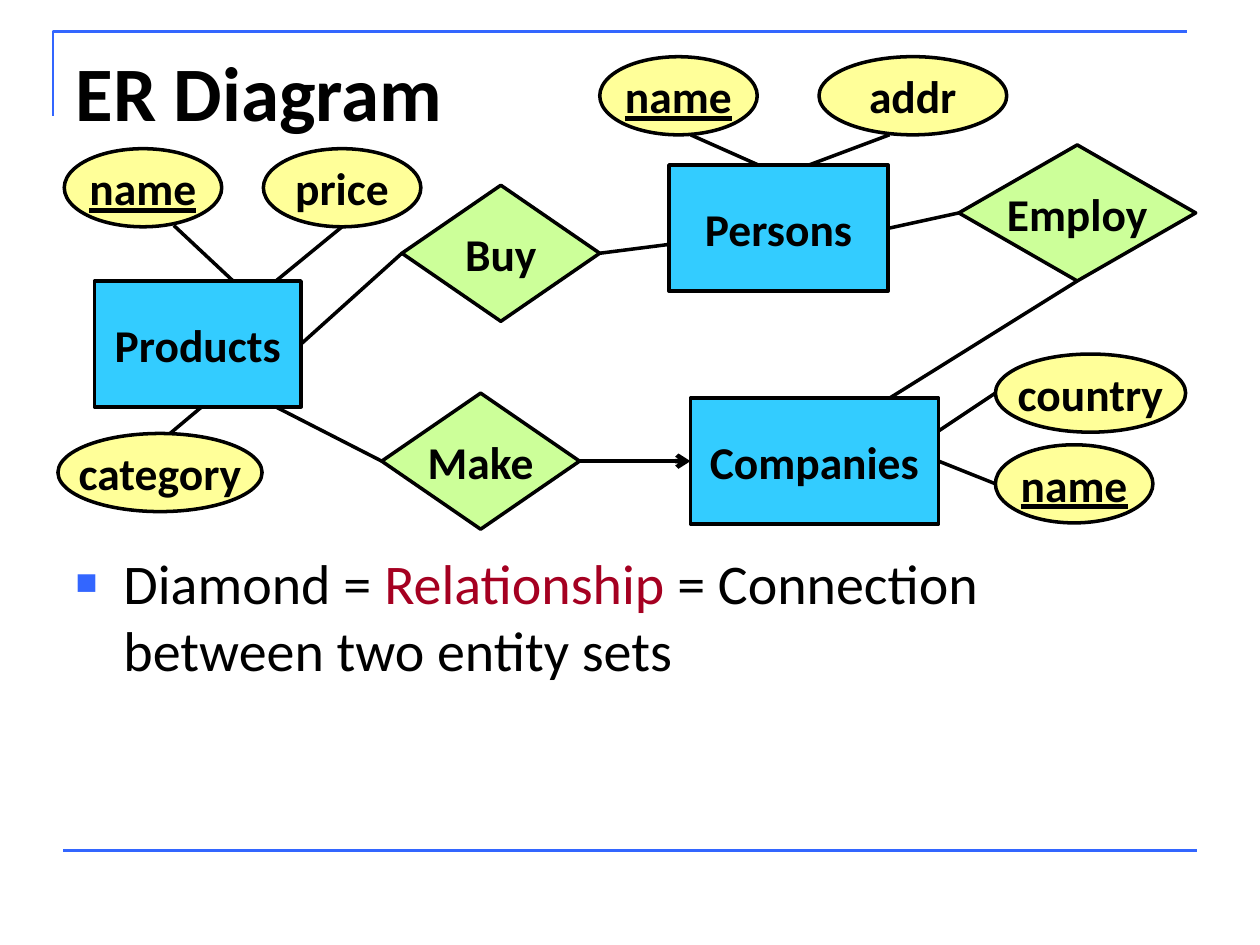
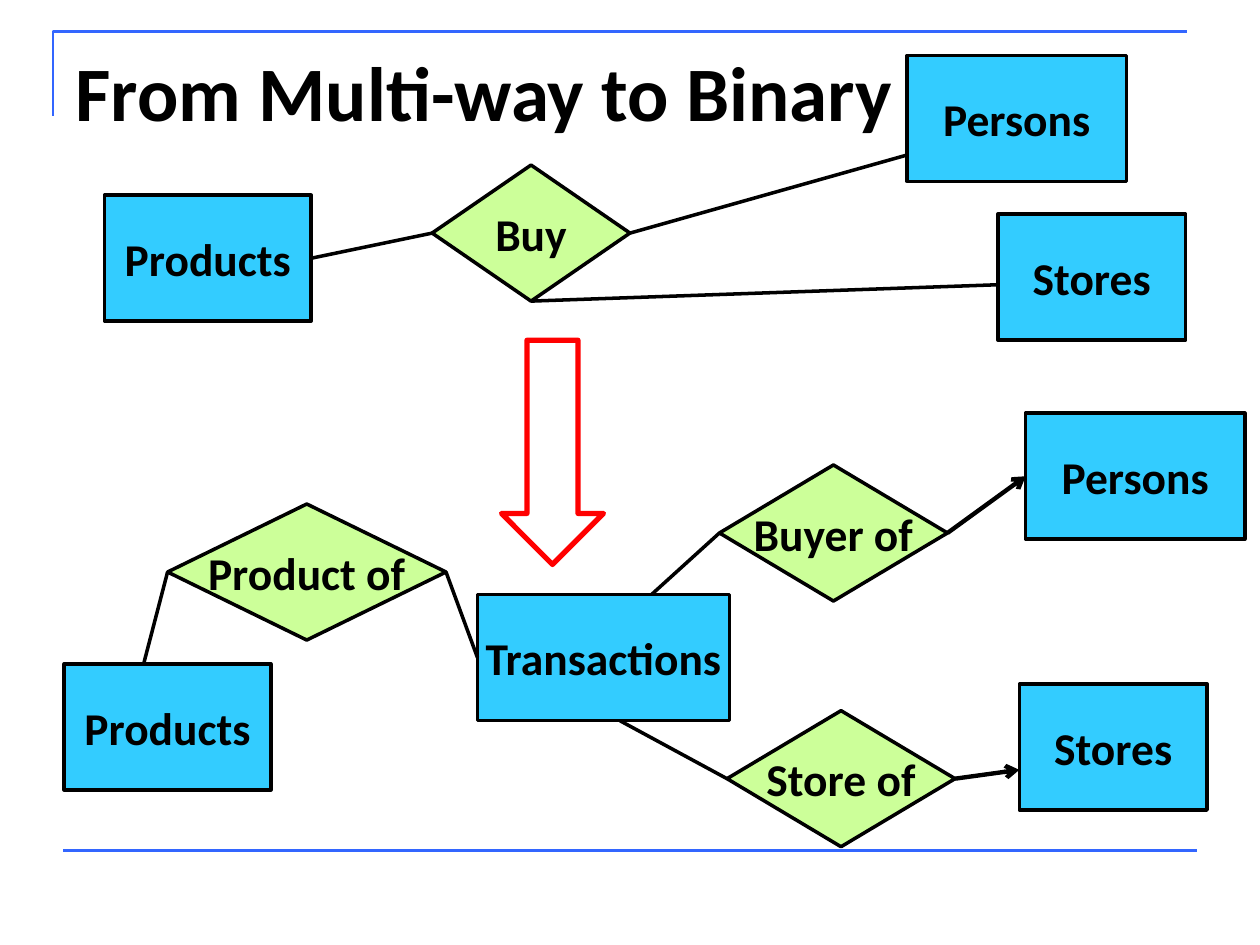
from lxml.etree import SubElement
from pptx import Presentation
from pptx.dml.color import RGBColor
from pptx.enum.shapes import MSO_CONNECTOR as Connector, MSO_SHAPE as Preset
from pptx.enum.text import MSO_ANCHOR as Anchor, MSO_AUTO_SIZE as AutoSize, PP_ALIGN as Align
from pptx.oxml.ns import qn
from pptx.util import Inches, Pt

BLACK, BLUE, RED, DARK_RED = "000000", "3366FF", "FF0000", "A50021"
ENTITY_FILL, ATTRIBUTE_FILL, RELATION_FILL = "33CCFF", "FFFF99", "CCFF99"
TITLE_ONLY, TITLE_AND_BODY = 5, 1


def color(hex_string):
    return RGBColor.from_string(hex_string)


def side(shape, name):
    """Midpoint, in inches, of one side of a shape."""
    across, down = {"left": (0, 0.5), "right": (1, 0.5), "top": (0.5, 0), "bottom": (0.5, 1)}[name]
    return (shape.left.inches + across * shape.width.inches,
            shape.top.inches + down * shape.height.inches)


class DiagramDeck:
    font_name = "Calibri"

    def __init__(self):
        self.presentation = Presentation()
        self.presentation.slide_width = Inches(10)
        self.presentation.slide_height = Inches(7.5)
        self.slide = None

    def new_slide(self, title, layout=TITLE_ONLY):
        layouts = self.presentation.slide_layouts
        self.slide = self.presentation.slides.add_slide(layouts[layout])
        self.frame()
        placeholder = self.slide.shapes.title
        self.place(placeholder, 0.5, 0.3, 9, 1.25)
        placeholder.text = title
        paragraph = placeholder.text_frame.paragraphs[0]
        paragraph.alignment = Align.LEFT
        self.style(paragraph, 44, bold=True)

    def frame(self):
        """Corner rule at the top and straight rule at the bottom."""
        builder = self.slide.shapes.build_freeform(Inches(0.42), Inches(0.92))
        builder.add_line_segments(
            [(Inches(0.42), Inches(0.25)), (Inches(9.42), Inches(0.25))], close=False)
        self.paint(builder.convert_to_shape(), None, BLUE, 1.5)
        self.line((0.5, 6.75), (9.5, 6.75), BLUE, 1.5)

    def place(self, placeholder, left, top, width, height):
        placeholder.left, placeholder.top = Inches(left), Inches(top)
        placeholder.width, placeholder.height = Inches(width), Inches(height)
        text_frame = placeholder.text_frame
        text_frame.auto_size = AutoSize.NONE
        text_frame.vertical_anchor = Anchor.TOP

    def style(self, paragraph, size, bold=False, underline=None):
        font = paragraph.font
        font.name, font.size, font.bold, font.underline = self.font_name, Pt(size), bold, underline
        font.color.rgb = color(BLACK)

    def paint(self, shape, fill, line, width):
        shape.shadow.inherit = False
        if fill:
            shape.fill.solid()
            shape.fill.fore_color.rgb = color(fill)
        else:
            shape.fill.background()
        shape.line.color.rgb = color(line)
        shape.line.width = Pt(width)

    def bullet(self, runs):
        """Fill the body with one bulleted paragraph of (text, color) runs."""
        body = self.slide.placeholders[1]
        self.place(body, 0.5, 4.3, 9, 2.4)
        paragraph = body.text_frame.paragraphs[0]
        properties = paragraph._p.get_or_add_pPr()
        properties.set("marL", str(Inches(0.38)))
        properties.set("indent", str(-Inches(0.38)))
        paragraph.space_before = Pt(0)
        bullet_color = SubElement(properties, qn("a:buClr"))
        SubElement(bullet_color, qn("a:srgbClr"), val=BLUE)
        SubElement(properties, qn("a:buSzPct"), val="65000")
        SubElement(properties, qn("a:buChar"), char="■")
        self.style(paragraph, 32)
        for text, run_color in runs:
            run = paragraph.add_run()
            run.text = text
            run.font.color.rgb = color(run_color)

    def node(self, preset, fill, text, left, top, width, height, underline=None):
        shape = self.slide.shapes.add_shape(
            preset, Inches(left), Inches(top), Inches(width), Inches(height))
        self.paint(shape, fill, BLACK, 2)
        text_frame = shape.text_frame
        text_frame.word_wrap = False
        text_frame.vertical_anchor = Anchor.MIDDLE
        paragraph = text_frame.paragraphs[0]
        paragraph.text = text
        paragraph.alignment = Align.CENTER
        self.style(paragraph, 26, True, underline)
        return shape

    def entity(self, text, left, top, width):
        return self.node(Preset.RECTANGLE, ENTITY_FILL, text, left, top, width, 1)

    def attribute(self, text, left, top, width=1.25, key=None):
        return self.node(Preset.OVAL, ATTRIBUTE_FILL, text, left, top, width, 0.62, key)

    def relationship(self, text, left, top, width=1.57):
        return self.node(Preset.DIAMOND, RELATION_FILL, text, left, top, width, 1.08)

    def down_arrow(self, left, top, width, height):
        shape = self.slide.shapes.add_shape(
            Preset.DOWN_ARROW, Inches(left), Inches(top), Inches(width), Inches(height))
        self.paint(shape, None, RED, 3)

    def line(self, start, end, line_color=BLACK, width=2):
        connector = self.slide.shapes.add_connector(
            Connector.STRAIGHT, *(Inches(value) for value in (*start, *end)))
        connector.line.color.rgb = color(line_color)
        connector.line.width = Pt(width)
        SubElement(connector._element.spPr, qn("a:effectLst"))
        return connector

    def arrow(self, start, end):
        connector = self.line(start, end, width=2.5)
        SubElement(connector.line._get_or_add_ln(), qn("a:tailEnd"), type="arrow")


def er_diagram(deck):
    deck.new_slide("ER Diagram", TITLE_AND_BODY)
    deck.bullet([("Diamond = ", BLACK), ("Relationship", DARK_RED),
                 (" = Connection between two entity sets", BLACK)])

    companies = deck.entity("Companies", 5.48, 3.16, 1.97)
    country = deck.attribute("country", 7.9, 2.81, 1.51)
    company_name = deck.attribute("name", 7.9, 3.53, key=True)
    deck.line(side(company_name, "left"), side(companies, "right"))
    deck.line(side(country, "left"), (7.45, 3.42))

    deck.entity("Persons", 5.31, 1.31, 1.74)
    deck.attribute("addr", 6.5, 0.45, 1.49)
    deck.attribute("name", 4.76, 0.45, key=True)
    deck.line((5.48, 1.07), (6.02, 1.31))
    deck.line((7.06, 1.07), (6.42, 1.31))

    products = deck.entity("Products", 0.75, 2.23, 1.64)
    deck.attribute("name", 0.51, 1.18, key=True)
    deck.attribute("category", 0.46, 3.44, 1.62)
    price = deck.attribute("price", 2.09, 1.18)
    deck.line((1.38, 1.79), (1.85, 2.23))
    deck.line(side(price, "bottom"), (2.19, 2.23))
    deck.line((1.35, 3.44), (1.6, 3.23))

    buy = deck.relationship("Buy", 3.19, 1.47)
    employ = deck.relationship("Employ", 7.61, 1.15, 1.88)
    make = deck.relationship("Make", 3.03, 3.12)
    deck.line(side(buy, "left"), side(products, "right"))
    deck.line(side(buy, "right"), (5.31, 1.94))
    deck.line(side(employ, "left"), (7.06, 1.81))
    deck.line((7.06, 3.16), side(employ, "bottom"))
    deck.line(side(make, "left"), (2.19, 3.23))
    deck.arrow(side(make, "right"), side(companies, "left"))


def multiway_to_binary(deck):
    deck.new_slide("From Multi-way to Binary")

    deck.entity("Persons", 7.2, 0.44, 1.74)
    deck.entity("Products", 0.83, 1.55, 1.64)
    deck.entity("Stores", 7.92, 1.7, 1.49)
    buy = deck.relationship("Buy", 3.43, 1.31)
    deck.line((2.47, 2.05), side(buy, "left"))
    deck.line(side(buy, "right"), (7.2, 1.23))
    deck.line(side(buy, "bottom"), (7.92, 2.26))

    deck.down_arrow(3.98, 2.7, 0.81, 1.78)

    persons = deck.entity("Persons", 8.14, 3.28, 1.74)
    deck.entity("Products", 0.51, 5.27, 1.64)
    deck.entity("Stores", 8.09, 5.43, 1.49)
    transactions = deck.entity("Transactions", 3.79, 4.72, 2)
    buyer_of = deck.relationship("Buyer of", 5.71, 3.69, 1.81)
    product_of = deck.relationship("Product of", 1.33, 4, 2.21)
    store_of = deck.relationship("Store of", 5.77, 5.64, 1.81)
    deck.line((1.14, 5.27), side(product_of, "left"))
    deck.line(side(transactions, "left"), side(product_of, "right"))
    deck.line((5.17, 4.72), side(buyer_of, "left"))
    deck.line((4.92, 5.72), side(store_of, "left"))
    deck.arrow(side(buyer_of, "right"), side(persons, "left"))
    deck.arrow(side(store_of, "right"), (8.09, 6.11))


def main():
    deck = DiagramDeck()
    er_diagram(deck)
    multiway_to_binary(deck)
    deck.presentation.save("out.pptx")


if __name__ == "__main__":
    main()
